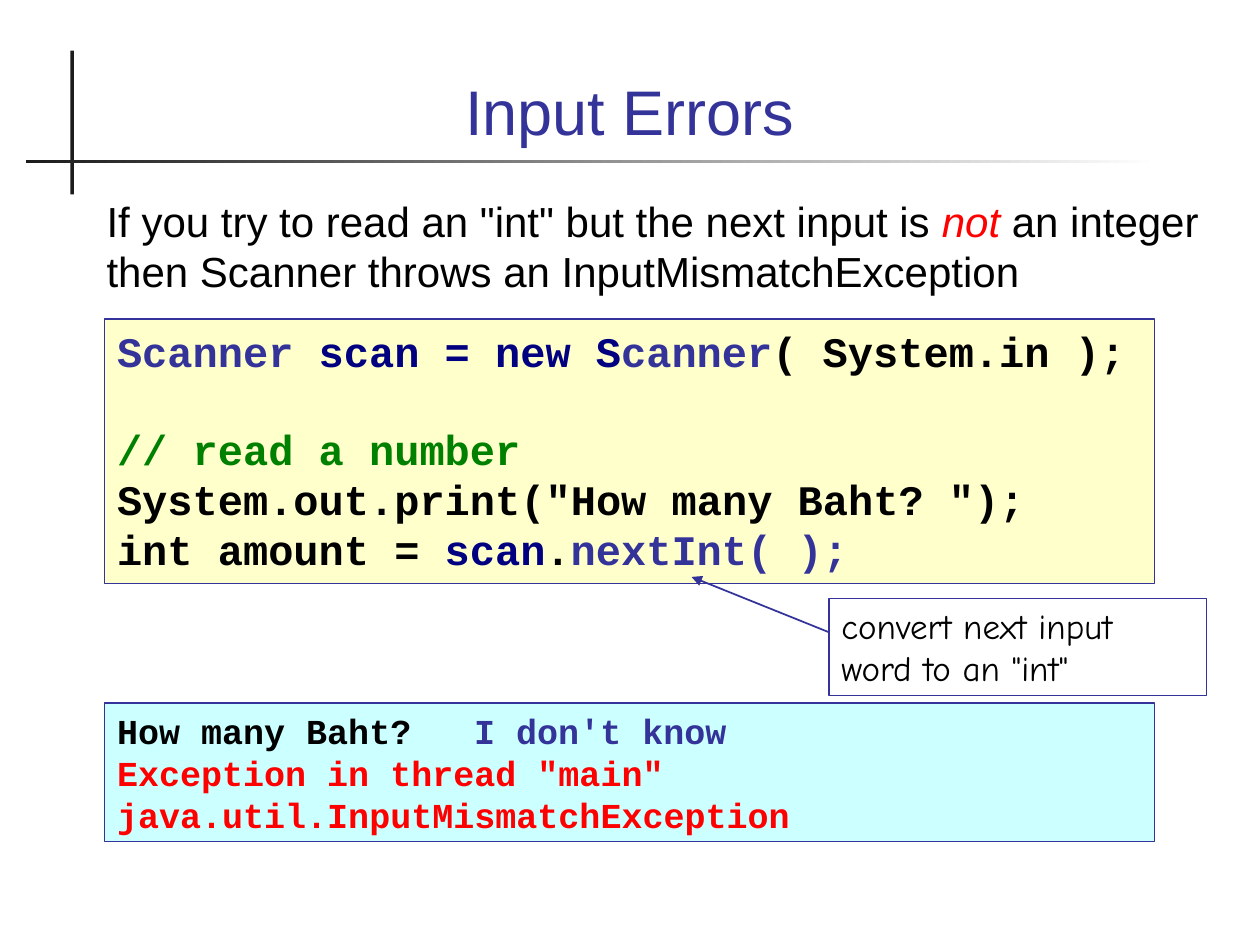
from dataclasses import dataclass

from lxml import etree
from pptx import Presentation
from pptx import util as u
from pptx.dml.color import RGBColor
from pptx.enum import shapes, text
from pptx.oxml import ns

INDIGO = RGBColor(0x33, 0x33, 0x99)
NAVY = RGBColor(0x00, 0x00, 0x80)
GREEN = RGBColor(0x00, 0x80, 0x00)
RED = RGBColor(0xFF, 0x00, 0x00)
BLACK = RGBColor(0x00, 0x00, 0x00)
WHITE = RGBColor(0xFF, 0xFF, 0xFF)
CHARCOAL = RGBColor(0x1C, 0x1C, 0x1C)
CREAM = RGBColor(0xFF, 0xFF, 0xCC)
AQUA = RGBColor(0xCC, 0xFF, 0xFF)


@dataclass
class Span:
    wording: str
    color: RGBColor = BLACK
    italic: bool = False


@dataclass
class Line:
    spans: list[Span]
    space_before: float = 0
    tab: float = 0


@dataclass
class Panel:
    left: float
    top: float
    width: float
    height: float
    fill: RGBColor
    font: str
    size: float
    bold: bool
    lines: list[Line]


CODE = Panel(2.11, 6.43, 21.16, 5.33, CREAM, "Courier New", 24, True, [
    Line([Span("Scanner", INDIGO), Span(" scan = new S", NAVY),
          Span("canner", INDIGO), Span("( System.in );")]),
    Line([Span("// read a number", GREEN)], space_before=27.2),
    Line([Span('System.out.print("How many Baht? ");')]),
    Line([Span("int amount = "), Span("scan", NAVY), Span("."),
          Span("nextInt( );", INDIGO)]),
])
CONSOLE = Panel(2.11, 14.17, 21.16, 2.8, AQUA, "Courier New", 20, True, [
    Line([Span("How many Baht?\t"), Span("I don't know", INDIGO)], tab=7.2),
    Line([Span('Exception in thread "main" java.util.InputMismatchException', RED)]),
])
NOTE = Panel(16.71, 12.06, 7.62, 1.96, WHITE, "Comic Neue", 20, False, [
    Line([Span('convert next input word to an "int"')]),
])
INTRO = Line([
    Span('If you try to read an "int" but the next input is '),
    Span("not ", RED, True),
    Span("an integer then Scanner throws an InputMismatchException"),
])


def write_lines(frame, lines: list[Line], font: str, size: float, bold: bool) -> None:
    frame.word_wrap = True
    frame.auto_size = text.MSO_AUTO_SIZE.NONE
    frame.vertical_anchor = text.MSO_ANCHOR.TOP
    for index, line in enumerate(lines):
        para = frame.paragraphs[0] if index == 0 else frame.add_paragraph()
        para.alignment = text.PP_ALIGN.LEFT
        para.space_before = u.Pt(line.space_before)
        if line.tab:
            tabs = etree.SubElement(para._p.get_or_add_pPr(), ns.qn("a:tabLst"))
            etree.SubElement(tabs, ns.qn("a:tab"), pos=str(u.Cm(line.tab)), algn="l")
        para.font.name = font
        para.font.size = u.Pt(size)
        para.font.bold = bold
        for span in line.spans:
            run = para.add_run()
            run.text = span.wording
            run.font.color.rgb = span.color
            if span.italic:
                run.font.italic = True


def add_rectangle(page, left: float, top: float, width: float, height: float):
    box = page.shapes.add_shape(shapes.MSO_SHAPE.RECTANGLE, u.Cm(left), u.Cm(top),
                                u.Cm(width), u.Cm(height))
    box.shadow.inherit = False
    return box


def add_panel(page, panel: Panel) -> None:
    box = add_rectangle(page, panel.left, panel.top, panel.width, panel.height)
    box.fill.solid()
    box.fill.fore_color.rgb = panel.fill
    box.line.color.rgb = INDIGO
    box.line.width = u.Pt(0.75)
    write_lines(box.text_frame, panel.lines, panel.font, panel.size, panel.bold)


def add_rules(page) -> None:
    upright = add_rectangle(page, 1.42, 1.02, 0.07, 2.9)
    upright.fill.solid()
    upright.fill.fore_color.rgb = CHARCOAL
    upright.line.fill.background()
    level = add_rectangle(page, 0.53, 3.22, 22.83, 0.07)
    level.fill.gradient()
    level.fill.gradient_angle = 0
    for stop, color in zip(level.fill.gradient_stops, (CHARCOAL, WHITE)):
        stop.color.rgb = color
    level.line.fill.background()


def add_title(page, wording: str) -> None:
    title = page.shapes.title
    title.left, title.top = u.Cm(1.7), u.Cm(0.71)
    title.width, title.height = u.Cm(22), u.Cm(2.41)
    frame = title.text_frame
    frame.text = wording
    frame.auto_size = text.MSO_AUTO_SIZE.NONE
    frame.vertical_anchor = text.MSO_ANCHOR.BOTTOM
    para = frame.paragraphs[0]
    para.alignment = text.PP_ALIGN.CENTER
    para.font.name = "Arial"
    para.font.size = u.Pt(36)
    para.font.color.rgb = INDIGO


def add_arrow(page, start: tuple[float, float], end: tuple[float, float]) -> None:
    arrow = page.shapes.add_connector(shapes.MSO_CONNECTOR.STRAIGHT,
                                      *map(u.Cm, start + end))
    arrow.line.color.rgb = INDIGO
    arrow.line.width = u.Pt(1)
    etree.SubElement(arrow.line._get_or_add_ln(), ns.qn("a:tailEnd"), type="triangle")
    etree.SubElement(arrow._element.spPr, ns.qn("a:effectLst"))


def main() -> None:
    deck = Presentation()
    deck.slide_width, deck.slide_height = u.Cm(25.4), u.Cm(19.05)
    page = deck.slides.add_slide(deck.slide_layouts[5])
    add_rules(page)
    add_title(page, "Input Errors")
    intro = page.shapes.add_textbox(u.Cm(1.9), u.Cm(3.81), u.Cm(22.66), u.Cm(2.34))
    write_lines(intro.text_frame, [INTRO], "Arial", 24, False)
    add_panel(page, CODE)
    add_panel(page, CONSOLE)
    add_arrow(page, (17.17, 12.93), (13.94, 11.63))
    add_panel(page, NOTE)
    deck.save("out.pptx")


if __name__ == "__main__":
    main()
